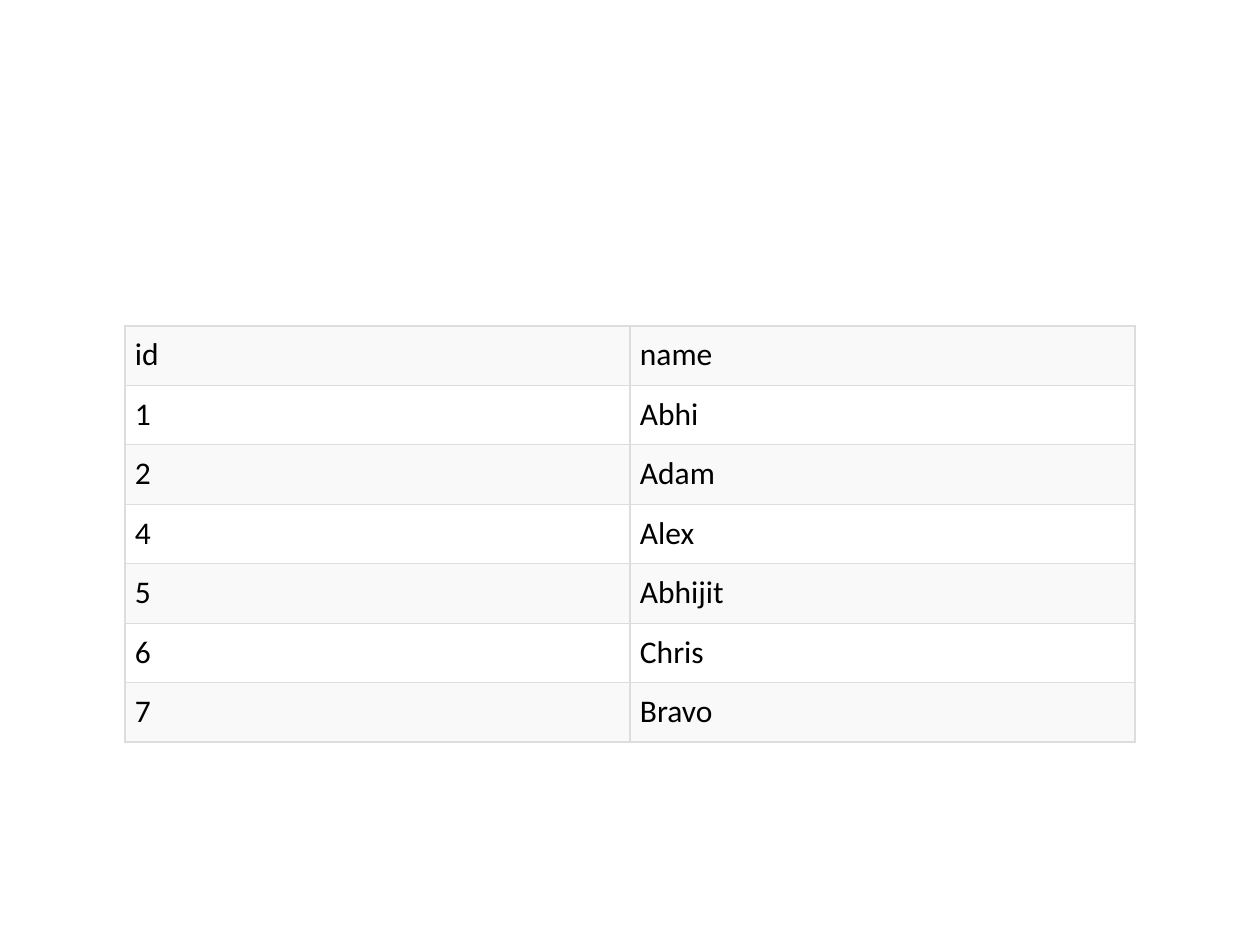
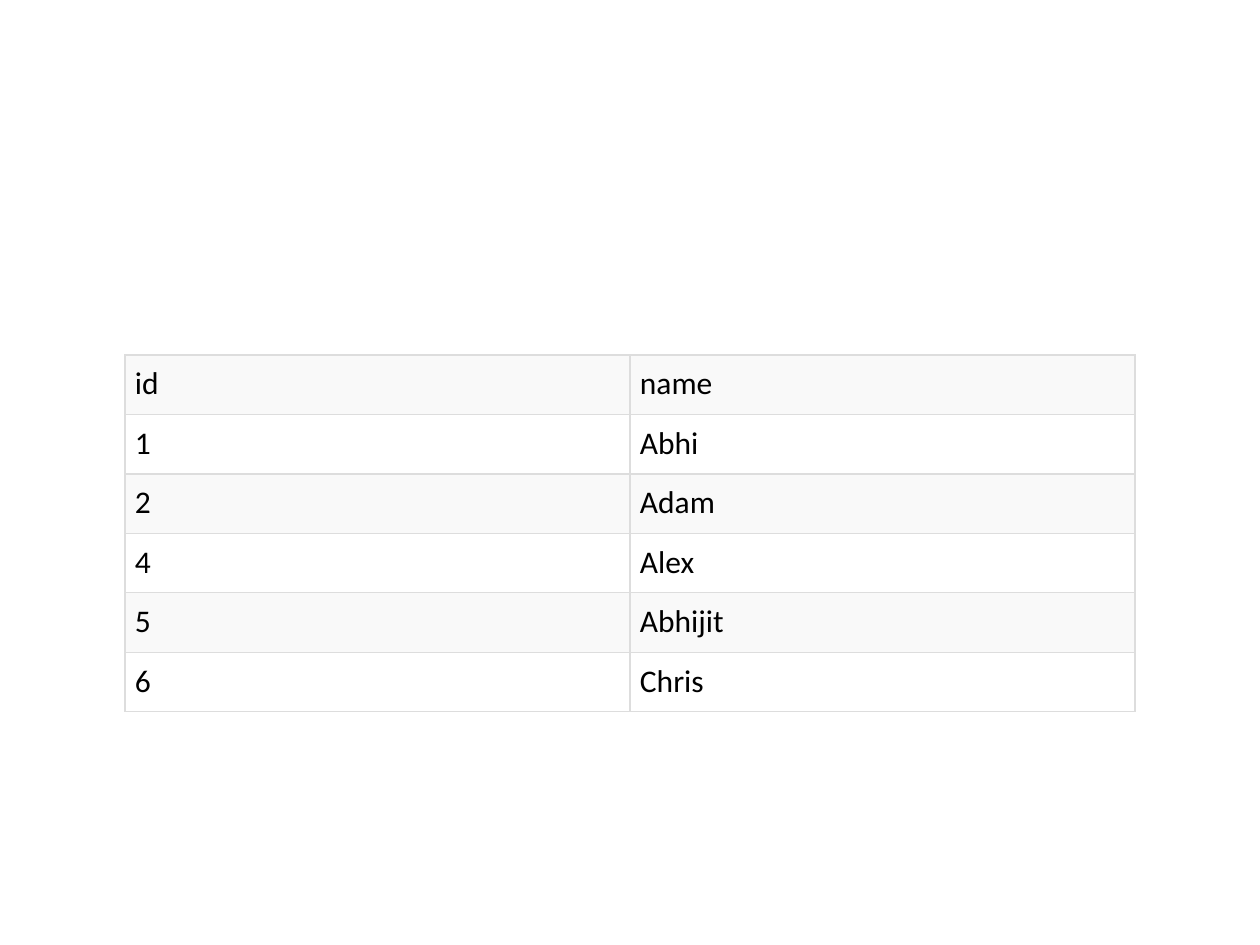
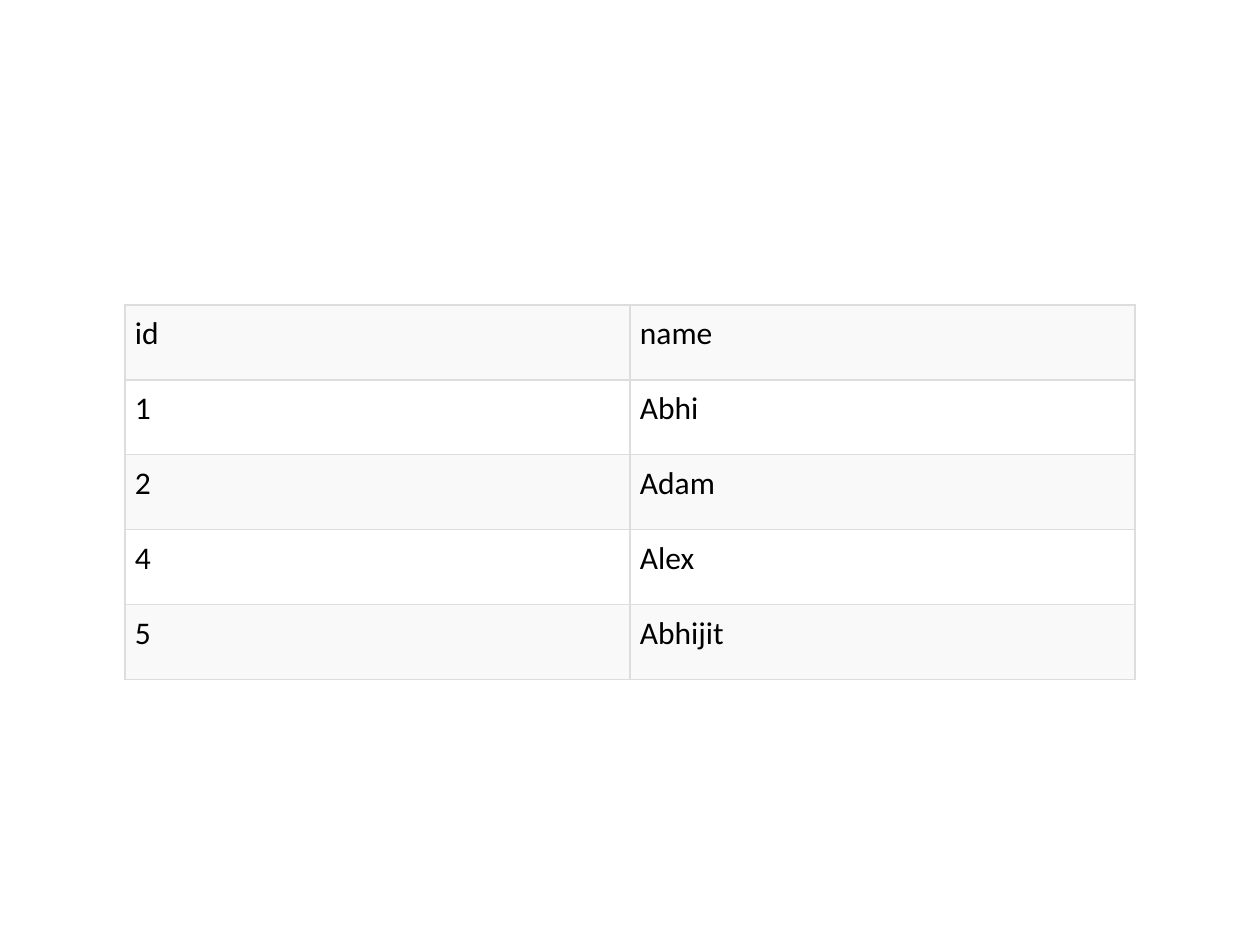
import lxml.etree
import pptx
import pptx.dml.color
import pptx.oxml.ns
import pptx.util

HEADER = ("id", "name")
PEOPLE = [
    ("1", "Abhi"),
    ("2", "Adam"),
    ("4", "Alex"),
    ("5", "Abhijit"),
    ("6", "Chris"),
    ("7", "Bravo"),
]
TABLES = [
    {"people": 6, "top": 326, "height": 416},
    {"people": 5, "top": 355, "height": 357},
    {"people": 4, "top": 305, "height": 375},
]

SLIDE_WIDTH, SLIDE_HEIGHT = 1260, 945
TABLE_LEFT, COLUMN_WIDTH = 125, 505
CELL_MARGIN = 10
BAND, BORDER, TEXT = "F9F9F9", "DDDDDD", "000000"
FONT, FONT_SIZE, BORDER_POINTS = "Calibri", 18, 0.75


def px(length):
    return pptx.util.Emu(round(length * 914400 / 126))


def color(value):
    return pptx.dml.color.RGBColor.from_string(value)


def add_borders(cell):
    properties = cell._tc.get_or_add_tcPr()
    for side in ("lnL", "lnR", "lnT", "lnB"):
        line = lxml.etree.SubElement(properties, pptx.oxml.ns.qn(f"a:{side}"))
        line.set("w", str(pptx.util.Pt(BORDER_POINTS)))
        fill = lxml.etree.SubElement(line, pptx.oxml.ns.qn("a:solidFill"))
        lxml.etree.SubElement(fill, pptx.oxml.ns.qn("a:srgbClr")).set("val", BORDER)


def fill_cell(cell, text, banded):
    cell.margin_left = cell.margin_right = px(CELL_MARGIN)
    cell.margin_top = cell.margin_bottom = px(CELL_MARGIN)
    add_borders(cell)
    if banded:
        cell.fill.solid()
        cell.fill.fore_color.rgb = color(BAND)
    else:
        cell.fill.background()
    cell.text = text
    font = cell.text_frame.paragraphs[0].font
    font.name = FONT
    font.size = pptx.util.Pt(FONT_SIZE)
    font.color.rgb = color(TEXT)


def add_people_table(slide, people, top, height):
    records = [HEADER] + PEOPLE[:people]
    table = slide.shapes.add_table(
        len(records), len(HEADER), px(TABLE_LEFT), px(top),
        px(COLUMN_WIDTH * len(HEADER)), px(height),
    ).table
    table.first_row = False
    table.horz_banding = False
    for row_index, record in enumerate(records):
        for column_index, text in enumerate(record):
            fill_cell(table.cell(row_index, column_index), text, row_index % 2 == 0)


def main():
    presentation = pptx.Presentation()
    presentation.slide_width = px(SLIDE_WIDTH)
    presentation.slide_height = px(SLIDE_HEIGHT)
    for settings in TABLES:
        slide = presentation.slides.add_slide(presentation.slide_layouts[6])
        add_people_table(slide, **settings)
    presentation.save("out.pptx")


if __name__ == "__main__":
    main()
